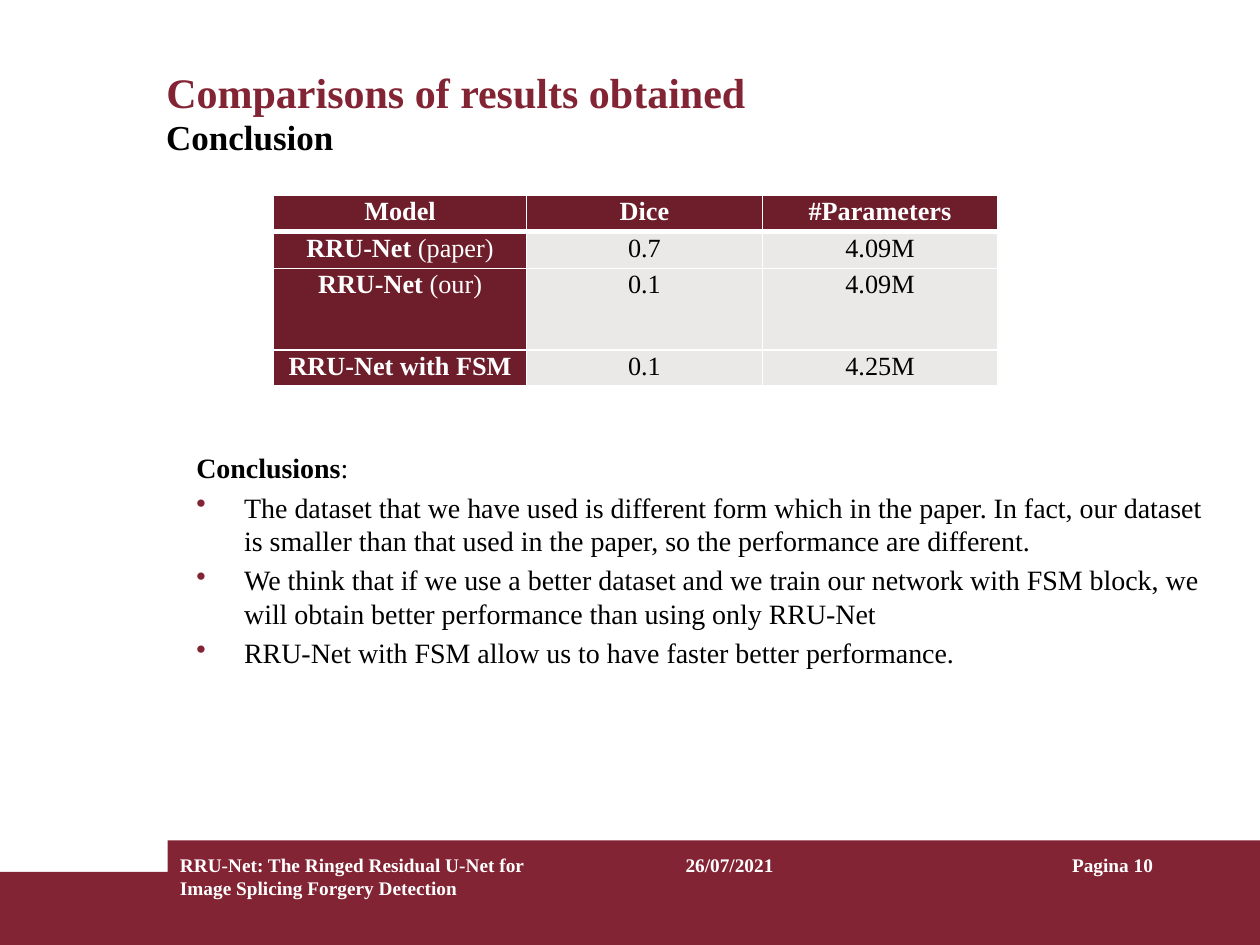
from lxml import etree
from pptx import Presentation
from pptx.dml.color import RGBColor
from pptx.enum.shapes import MSO_SHAPE
from pptx.enum.text import MSO_ANCHOR, PP_ALIGN
from pptx.oxml.ns import qn
from pptx.util import Inches, Pt

LEFT, CENTER, RIGHT = PP_ALIGN.LEFT, PP_ALIGN.CENTER, PP_ALIGN.RIGHT
TOP, MIDDLE = MSO_ANCHOR.TOP, MSO_ANCHOR.MIDDLE
RECTANGLE = MSO_SHAPE.RECTANGLE
TITLE_ONLY = 5
FONT = "Times New Roman"
COLORS = {"burgundy": "822433", "header": "6E1D2A", "cell": "EBE8E8",
          "white": "FFFFFF", "black": "000000"}

FOOTER = [
    ("RRU-Net: The Ringed Residual U-Net for Image Splicing Forgery Detection", 1.33, 3.17, LEFT),
    ("26/07/2021", 4.75, 2.08, CENTER),
    ("Pagina 10", 7.17, 2.08, RIGHT),
]
RESULTS = [
    (("Model", ""), "Dice", "#Parameters"),
    (("RRU-Net", " (paper)"), "0.7", "4.09M"),
    (("RRU-Net", " (our)"), "0.1", "4.09M"),
    (("RRU-Net with FSM", ""), "0.1", "4.25M"),
]
COLUMN_WIDTHS = [2.01, 1.87, 1.87]
ROW_HEIGHTS = [0.29, 0.29, 0.65, 0.28]
CONCLUSIONS = [
    "The dataset that we have used is different form which in the paper. In fact, "
    "our dataset is smaller than that used in the paper, so the performance are different.",
    "We think that if we use a better dataset and we train our network with FSM block, "
    "we will obtain better performance than using only RRU-Net",
    "RRU-Net with FSM allow us to have faster better performance.",
]


def rgb(name):
    """Return the named palette colour."""
    return RGBColor.from_string(COLORS[name])


def write(paragraph, text, size=16, color="black", bold=False, align=LEFT):
    """Append a formatted run to a paragraph."""
    paragraph.alignment = align
    run = paragraph.add_run()
    run.text = text
    run.font.name, run.font.size, run.font.bold = FONT, Pt(size), bold
    run.font.color.rgb = rgb(color)


def add_band(slide, left, top, width, height):
    """Draw a plain burgundy band."""
    band = slide.shapes.add_shape(
        RECTANGLE, Inches(left), Inches(top), Inches(width), Inches(height))
    band.shadow.inherit = False
    band.fill.solid()
    band.fill.fore_color.rgb = rgb("burgundy")
    band.line.fill.background()


def add_text_frame(slide, left, top, width, height):
    """Add a wrapping text box and return its frame."""
    frame = slide.shapes.add_textbox(
        Inches(left), Inches(top), Inches(width), Inches(height)).text_frame
    frame.word_wrap = True
    return frame


def add_footer(slide):
    """Draw the stepped footer with its three texts."""
    add_band(slide, 0, 6.92, 10, 0.58)
    add_band(slide, 1.33, 6.67, 8.67, 0.83)
    for text, left, width, align in FOOTER:
        frame = add_text_frame(slide, left, 6.72, width, 0.5)
        write(frame.paragraphs[0], text, size=11, color="white", bold=True, align=align)


def add_headings(slide):
    """Fill the title placeholder and add the subtitle."""
    title = slide.shapes.title
    title.left, title.top = Inches(1.22), Inches(0.45)
    title.width, title.height = Inches(8.11), Inches(0.55)
    title.text_frame.vertical_anchor = MIDDLE
    write(title.text_frame.paragraphs[0], "Comparisons of results obtained",
          size=24, color="burgundy", bold=True)
    subtitle = add_text_frame(slide, 1.22, 0.87, 8.1, 0.44)
    write(subtitle.paragraphs[0], "Conclusion", size=20, bold=True)


def set_borders(cell, bottom):
    """Give a cell white borders with the given bottom width."""
    properties = cell._tc.get_or_add_tcPr()
    widths = {"a:lnL": 1, "a:lnR": 1, "a:lnT": 1, "a:lnB": bottom}
    for position, (side, width) in enumerate(widths.items()):
        line = etree.Element(qn(side), w=str(Pt(width)))
        fill = etree.SubElement(line, qn("a:solidFill"))
        etree.SubElement(fill, qn("a:srgbClr"), val=COLORS["white"])
        properties.insert(position, line)


def format_cell(cell, dark, bottom):
    """Set a cell's fill, margins, borders and paragraph spacing."""
    cell.fill.solid()
    cell.fill.fore_color.rgb = rgb("header" if dark else "cell")
    cell.margin_left = cell.margin_right = Inches(0.07)
    cell.margin_top = cell.margin_bottom = 0
    cell.vertical_anchor = TOP
    set_borders(cell, bottom)
    paragraph = cell.text_frame.paragraphs[0]
    paragraph.line_spacing, paragraph.space_after = 1.07, Pt(8)
    return paragraph


def add_results(slide):
    """Build the table of model results."""
    table = slide.shapes.add_table(
        len(RESULTS), len(COLUMN_WIDTHS), Inches(2.17), Inches(1.55),
        Inches(sum(COLUMN_WIDTHS)), Inches(sum(ROW_HEIGHTS))).table
    for column, width in zip(table.columns, COLUMN_WIDTHS):
        column.width = Inches(width)
    for r, ((model, note), *values) in enumerate(RESULTS):
        table.rows[r].height = Inches(ROW_HEIGHTS[r])
        for c, text in enumerate([model, *values]):
            dark = r == 0 or c == 0
            color = "white" if dark else "black"
            paragraph = format_cell(table.cell(r, c), dark, bottom=3 if r == 0 else 1)
            write(paragraph, text, size=15, color=color, bold=dark, align=CENTER)
            if c == 0 and note:
                write(paragraph, note, size=15, color=color, align=CENTER)


def add_bullet(paragraph):
    """Give a paragraph a hanging burgundy bullet."""
    properties = paragraph._p.get_or_add_pPr()
    properties.set("marL", str(Inches(0.38)))
    properties.set("indent", str(-Inches(0.38)))
    color = etree.SubElement(properties, qn("a:buClr"))
    etree.SubElement(color, qn("a:srgbClr"), val=COLORS["burgundy"])
    etree.SubElement(properties, qn("a:buChar"), char="•")


def add_conclusions(slide):
    """Write the heading and the bulleted conclusions."""
    frame = add_text_frame(slide, 1.46, 3.53, 8.27, 2.44)
    heading = frame.paragraphs[0]
    write(heading, "Conclusions", bold=True)
    write(heading, ":")
    for text in CONCLUSIONS:
        paragraph = frame.add_paragraph()
        paragraph.space_before = Pt(3.2)
        add_bullet(paragraph)
        write(paragraph, text)


def main():
    """Build and save the slide."""
    presentation = Presentation()
    presentation.slide_width, presentation.slide_height = Inches(10), Inches(7.5)
    slide = presentation.slides.add_slide(presentation.slide_layouts[TITLE_ONLY])
    add_footer(slide)
    add_headings(slide)
    add_results(slide)
    add_conclusions(slide)
    presentation.save("out.pptx")


if __name__ == "__main__":
    main()
